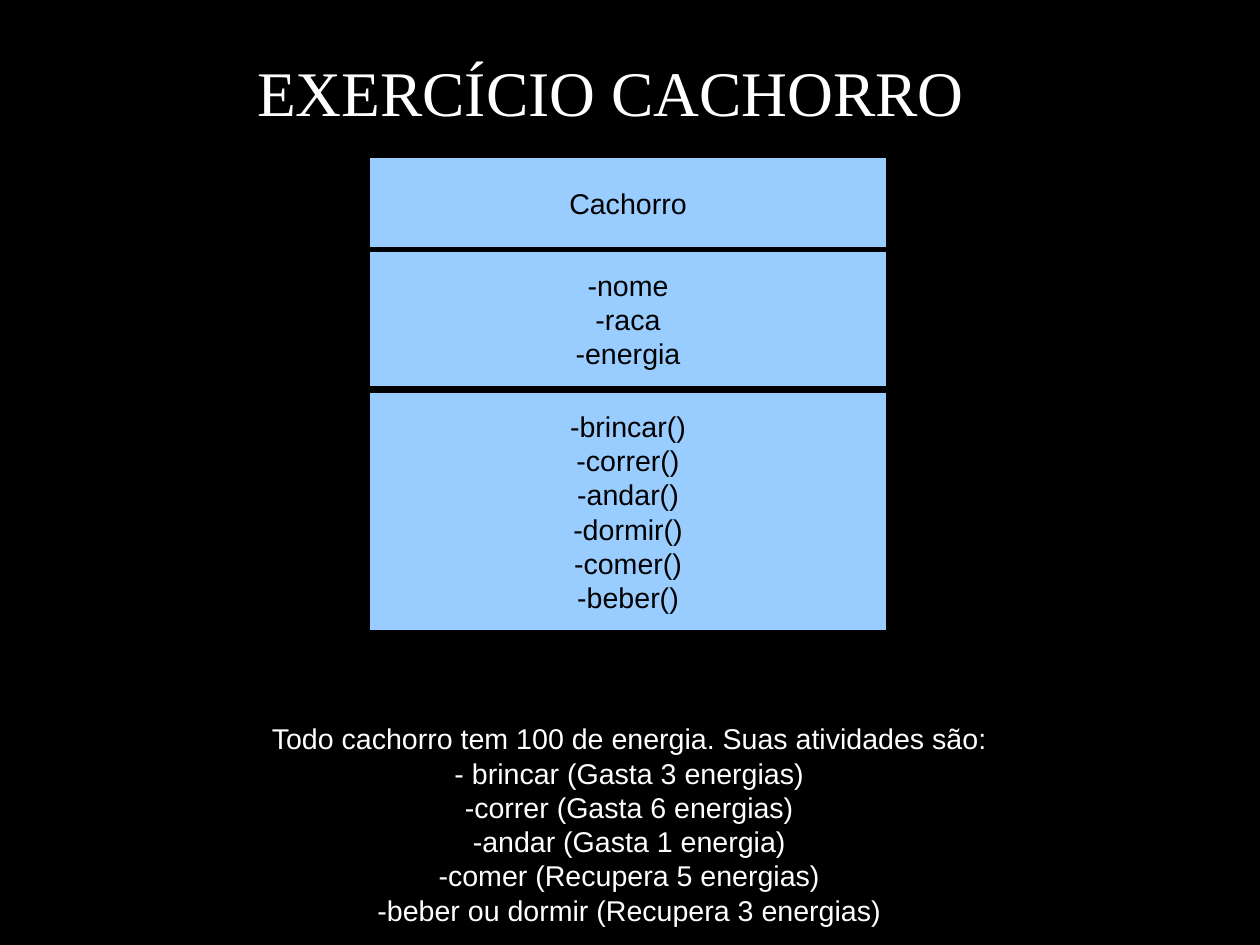
import pptx
import pptx.dml.color
import pptx.enum.shapes
import pptx.enum.text
import pptx.util
import lxml.etree
from pptx.oxml.ns import qn

WIDTH_CM, HEIGHT_CM = 28, 21
ALIGN = pptx.enum.text.PP_ALIGN
ANCHOR = pptx.enum.text.MSO_ANCHOR

COMPARTMENTS = [
    (0, 0.79, ["Cachorro"]),
    (0.82, 1.18, ["-nome", "-raca", "-energia"]),
    (2.05, 2.09, ["-brincar()", "-correr()", "-andar()", "-dormir()", "-comer()", "-beber()"]),
]
RULES = [
    "Todo cachorro tem 100 de energia. Suas atividades são:",
    "- brincar (Gasta 3 energias)",
    "-correr (Gasta 6 energias)",
    "-andar (Gasta 1 energia)",
    "-comer (Recupera 5 energias)",
    "-beber ou dormir (Recupera 3 energias)",
]


def color(value):
    """Turn a hex string into a colour."""
    return pptx.dml.color.RGBColor.from_string(value)


def place(shape, box):
    """Move a shape to a box of left, top, width and height in inches."""
    shape.left, shape.top, shape.width, shape.height = map(pptx.util.Inches, box)


def write_lines(shape, lines, size, font, ink, align, anchor, wrap=False):
    """Fill a shape with one formatted paragraph per line."""
    frame = shape.text_frame
    frame.auto_size = pptx.enum.text.MSO_AUTO_SIZE.NONE
    frame.word_wrap = wrap
    frame.vertical_anchor = anchor
    for index, line in enumerate(lines):
        paragraph = frame.paragraphs[0] if index == 0 else frame.add_paragraph()
        paragraph.alignment = align
        paragraph.line_spacing = 1.0
        paragraph.space_before = paragraph.space_after = pptx.util.Pt(0)
        run = paragraph.add_run()
        run.text = line
        run.font.size = pptx.util.Pt(size)
        run.font.name = font
        run.font.color.rgb = color(ink)


def add_title(slide, box):
    """Set the slide title in its placeholder."""
    title = slide.shapes.title
    place(title, box)
    write_lines(title, ["EXERCÍCIO CACHORRO"], 40, "Times New Roman", "FFFFFF",
                ALIGN.JUSTIFY, ANCHOR.TOP, wrap=True)


def add_class_diagram(slide, box):
    """Stack the name, attributes and methods of the class."""
    left, top, width = box
    for offset, height, lines in COMPARTMENTS:
        compartment = slide.shapes.add_shape(
            pptx.enum.shapes.MSO_SHAPE.RECTANGLE, 0, 0, 0, 0)
        place(compartment, (left, top + offset, width, height))
        compartment.shadow.inherit = False
        compartment.fill.solid()
        compartment.fill.fore_color.rgb = color("99CCFF")
        compartment.line.color.rgb = color("000000")
        compartment.line.width = pptx.util.Pt(0)
        write_lines(compartment, lines, 18, "Arial", "000000", ALIGN.CENTER, ANCHOR.MIDDLE)


def add_rules(slide, box):
    """Write the energy rules in the body placeholder without bullets."""
    body = slide.placeholders[1]
    place(body, box)
    write_lines(body, RULES, 18, "Arial", "FFFFFF", ALIGN.CENTER, ANCHOR.TOP, wrap=True)
    frame = body.text_frame
    frame.margin_left = frame.margin_right = pptx.util.Inches(0.02)
    for paragraph in frame.paragraphs:
        properties = paragraph._p.get_or_add_pPr()
        properties.set("marL", "0")
        properties.set("indent", "0")
        lxml.etree.SubElement(properties, qn("a:buNone"))


def main():
    """Build the exercise slide and save it."""
    presentation = pptx.Presentation()
    presentation.slide_width = pptx.util.Cm(WIDTH_CM)
    presentation.slide_height = pptx.util.Cm(HEIGHT_CM)
    slide = presentation.slides.add_slide(presentation.slide_layouts[1])
    slide.background.fill.solid()
    slide.background.fill.fore_color.rgb = color("000000")
    add_title(slide, (2.15, 0.41, 7.51, 1.94))
    add_class_diagram(slide, (3.23, 1.38, 4.53))
    add_rules(slide, (2.28, 6.26, 6.45, 1.78))
    presentation.save("out.pptx")


if __name__ == "__main__":
    main()
